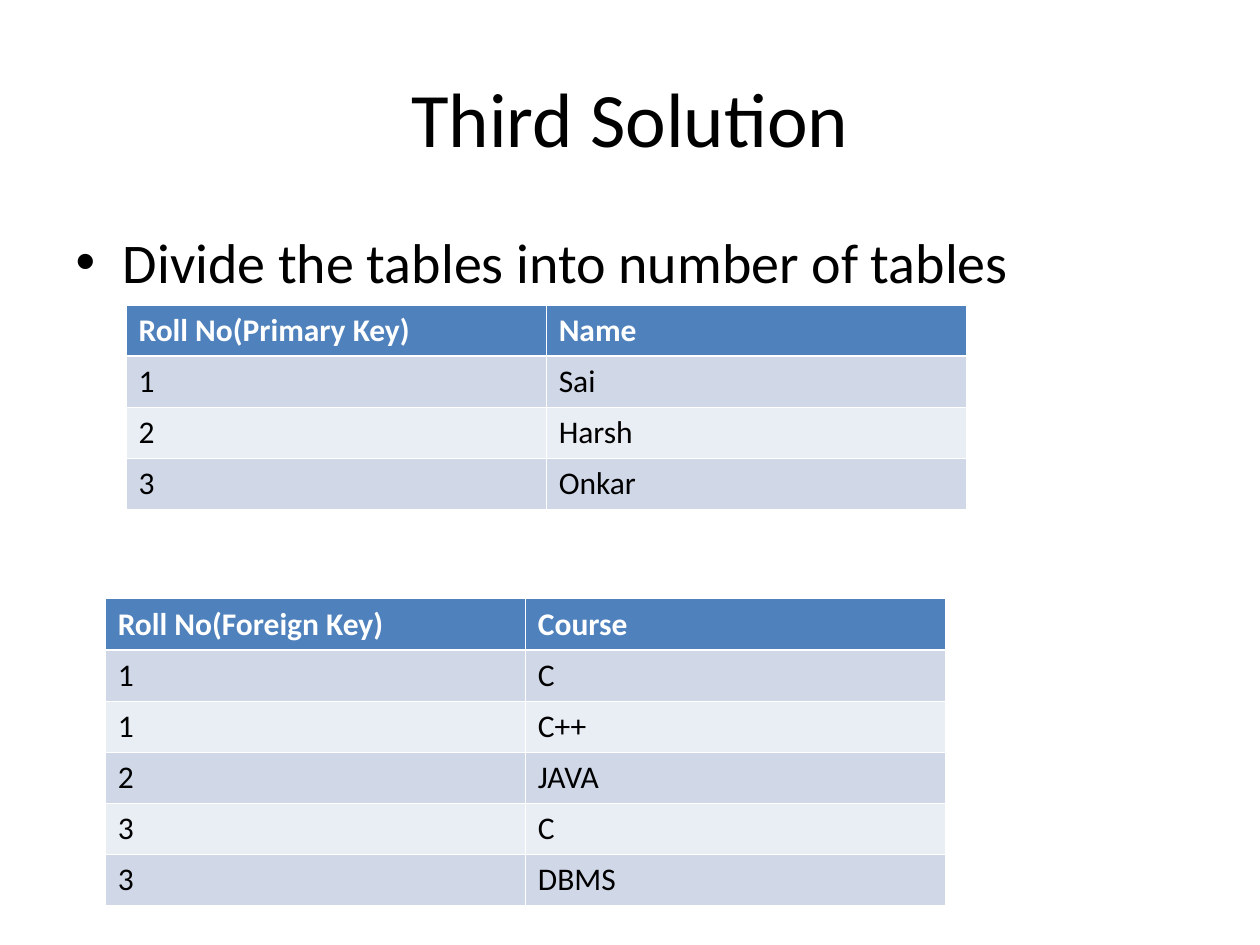
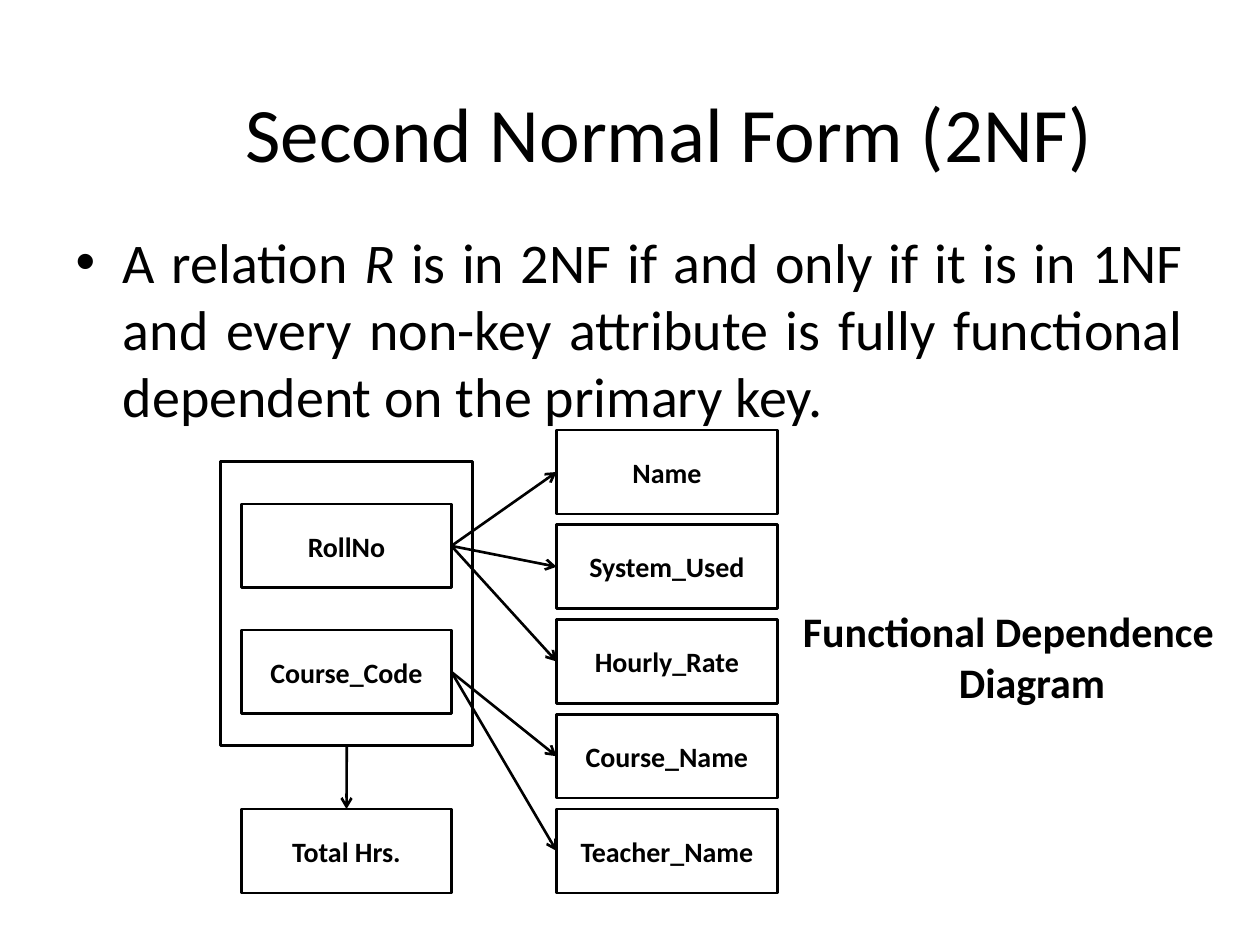
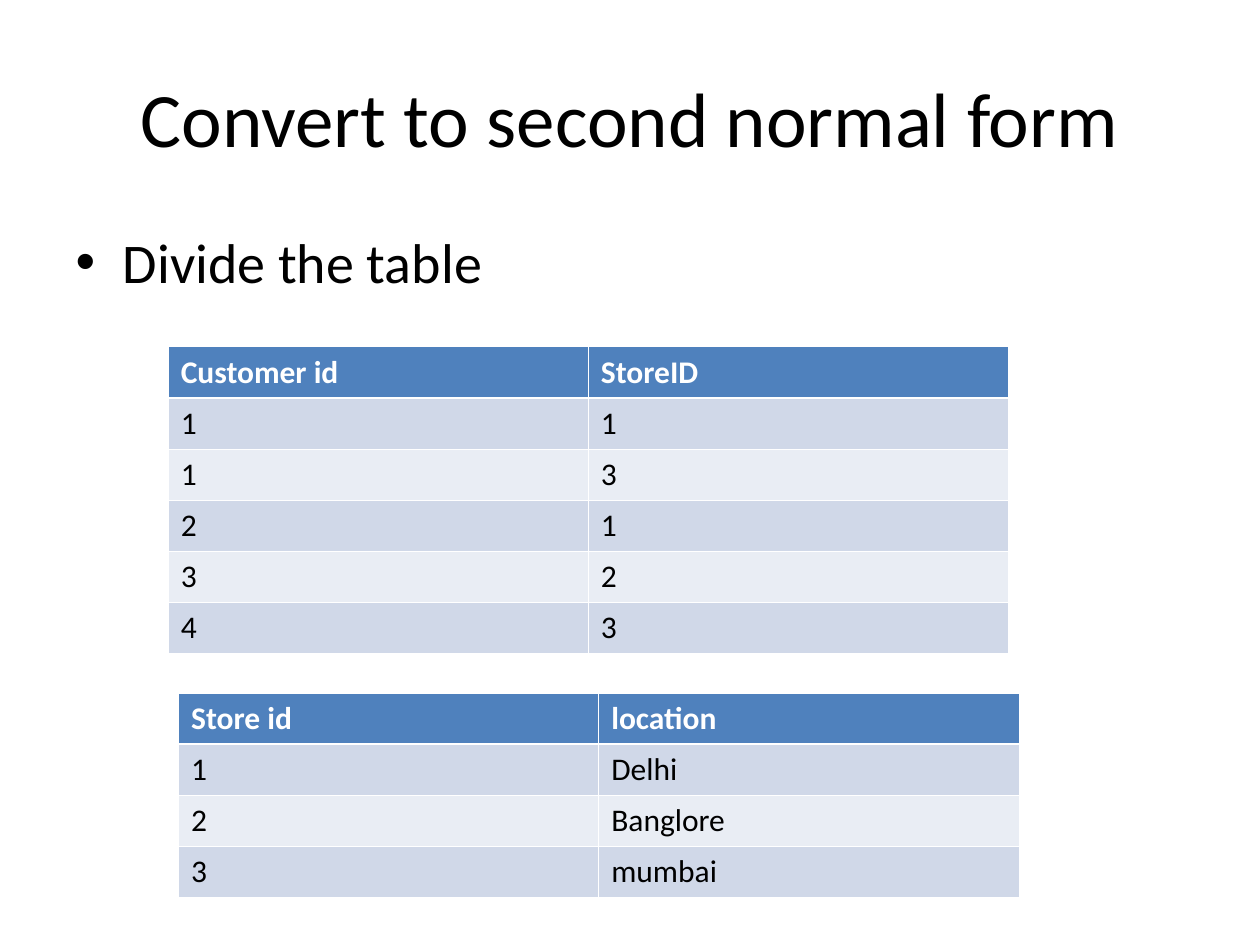
from dataclasses import dataclass

from lxml import etree
from pptx import Presentation
from pptx.dml.color import RGBColor
from pptx.enum.shapes import MSO_CONNECTOR, MSO_SHAPE
from pptx.enum.text import MSO_ANCHOR, MSO_AUTO_SIZE, PP_ALIGN
from pptx.oxml.ns import qn
from pptx.util import Cm, Pt

RECTANGLE = MSO_SHAPE.RECTANGLE
STRAIGHT = MSO_CONNECTOR.STRAIGHT
MIDDLE = MSO_ANCHOR.MIDDLE
NO_AUTO_SIZE = MSO_AUTO_SIZE.NONE
LEFT, CENTER, JUSTIFY = PP_ALIGN.LEFT, PP_ALIGN.CENTER, PP_ALIGN.JUSTIFY
TOP_SIDE, LEFT_SIDE, BOTTOM_SIDE, RIGHT_SIDE = range(4)

BLACK = RGBColor(0x00, 0x00, 0x00)
WHITE = RGBColor(0xFF, 0xFF, 0xFF)
HEADER_BLUE = RGBColor(0x4F, 0x81, 0xBD)
BAND_DARK = RGBColor(0xD0, 0xD8, 0xE8)
BAND_LIGHT = RGBColor(0xE9, 0xED, 0xF4)

FONT = "Calibri"
TITLE_FORMAT = {"name": FONT, "size": Pt(44)}
BODY_FORMAT = {"name": FONT, "size": Pt(32)}
HEADER_FORMAT = {"name": FONT, "size": Pt(18), "bold": True}
CELL_FORMAT = {"name": FONT, "size": Pt(18), "bold": False}
LABEL_FORMAT = {"name": FONT, "size": Pt(16), "bold": True}
CAPTION_FORMAT = {"name": FONT, "size": Pt(24), "bold": True}

LINE_WIDTH = Pt(1.5)
THIN_BORDER, THICK_BORDER = Pt(0.45), Pt(1.47)
COLUMN_WIDTH, ROW_HEIGHT = Cm(8.47), Cm(1.03)
HANGING_INDENT = Cm(0.95)


@dataclass(frozen=True)
class Box:
    left: float
    top: float
    width: float
    height: float

    def lengths(self) -> tuple:
        return Cm(self.left), Cm(self.top), Cm(self.width), Cm(self.height)


@dataclass(frozen=True)
class TableSpec:
    left: float
    top: float
    rows: tuple


TITLE_BOX = Box(1.27, 0.76, 22.86, 3.18)
SHIFTED_TITLE_BOX = Box(2.06, 1.07, 22.86, 3.18)
BODY_BOX = Box(1.27, 4.45, 22.86, 12.57)
DEFINITION_BOX = Box(1.27, 4.45, 22.86, 4.45)
CAPTION_BOX = Box(15.67, 11.61, 9.32, 3.23)
KEY_FRAME = Box(4.45, 9.31, 5.08, 5.72)

KEY_LEFT, KEY_WIDTH = 4.87, 4.23
ATTRIBUTE_LEFT, ATTRIBUTE_WIDTH = 11.22, 4.45
ATTRIBUTE_TOP, ATTRIBUTE_PITCH = 8.67, 1.91
BOX_HEIGHT = 1.69
KEY_TOPS = {"RollNo": 10.16, "Course_Code": 12.7, "Total Hrs.": 16.31}
DEPENDENCIES = {
    "RollNo": ("Name", "System_Used", "Hourly_Rate"),
    "Course_Code": ("Course_Name", "Teacher_Name"),
}

SOLUTION_TABLES = (
    TableSpec(2.54, 6.15, (
        ("Roll No(Primary Key)", "Name"),
        ("1", "Sai"), ("2", "Harsh"), ("3", "Onkar"))),
    TableSpec(2.12, 12.07, (
        ("Roll No(Foreign Key)", "Course"),
        ("1", "C"), ("1", "C++"), ("2", "JAVA"), ("3", "C"), ("3", "DBMS"))),
)
STORE_TABLES = (
    TableSpec(3.39, 6.99, (
        ("Customer id", "StoreID"),
        ("1", "1"), ("1", "3"), ("2", "1"), ("3", "2"), ("4", "3"))),
    TableSpec(3.6, 13.97, (
        ("Store id", "location"),
        ("1", "Delhi"), ("2", "Banglore"), ("3", "mumbai"))),
)
DEFINITION = (
    ("A relation ", False),
    ("R", True),
    (" is in 2NF if and only if it is in 1NF and every non-key attribute "
     "is fully functional dependent on the primary key.", False),
)


def add_run(paragraph, text: str, font_format: dict, color: RGBColor = BLACK):
    run = paragraph.add_run()
    run.text = text
    for name, value in font_format.items():
        setattr(run.font, name, value)
    run.font.color.rgb = color


def place(shape, box: Box):
    for name, value in zip(("left", "top", "width", "height"), box.lengths()):
        setattr(shape, name, value)


def add_text_slide(presentation, title: str, body_runs: tuple,
                   title_box: Box = TITLE_BOX, body_box: Box = BODY_BOX,
                   body_alignment=LEFT):
    slide = presentation.slides.add_slide(presentation.slide_layouts[1])
    title_shape, body_shape = slide.shapes.title, slide.placeholders[1]
    for shape, box, alignment in ((title_shape, title_box, CENTER),
                                  (body_shape, body_box, body_alignment)):
        place(shape, box)
        shape.text_frame.auto_size = NO_AUTO_SIZE
        paragraph = shape.text_frame.paragraphs[0]
        paragraph.alignment = alignment
        paragraph.space_before = Pt(0)
    add_run(title_shape.text_frame.paragraphs[0], title, TITLE_FORMAT)
    for text, italic in body_runs:
        add_run(body_shape.text_frame.paragraphs[0], text,
                {**BODY_FORMAT, "italic": italic})
    return slide


def set_borders(cell, top: int, bottom: int):
    properties = cell._tc.get_or_add_tcPr()
    widths = {"lnL": THIN_BORDER, "lnR": THIN_BORDER, "lnT": top, "lnB": bottom}
    for tag, width in widths.items():
        line = etree.SubElement(properties, qn(f"a:{tag}"), w=str(int(width)))
        fill = etree.SubElement(line, qn("a:solidFill"))
        etree.SubElement(fill, qn("a:srgbClr"), val=str(WHITE))


def add_banded_table(slide, spec: TableSpec):
    row_count, column_count = len(spec.rows), len(spec.rows[0])
    table = slide.shapes.add_table(
        row_count, column_count, Cm(spec.left), Cm(spec.top),
        COLUMN_WIDTH * column_count, ROW_HEIGHT * row_count).table
    for row_index, values in enumerate(spec.rows):
        is_header = row_index == 0
        band = BAND_DARK if row_index % 2 else BAND_LIGHT
        for column_index, value in enumerate(values):
            cell = table.cell(row_index, column_index)
            set_borders(cell,
                        top=THICK_BORDER if row_index == 1 else THIN_BORDER,
                        bottom=THICK_BORDER if is_header else THIN_BORDER)
            cell.fill.solid()
            cell.fill.fore_color.rgb = HEADER_BLUE if is_header else band
            add_run(cell.text_frame.paragraphs[0], value,
                    HEADER_FORMAT if is_header else CELL_FORMAT,
                    WHITE if is_header else BLACK)


def add_outline(slide, box: Box, label: str = ""):
    shape = slide.shapes.add_shape(RECTANGLE, *box.lengths())
    shape.shadow.inherit = False
    shape.fill.background()
    shape.line.color.rgb = BLACK
    shape.line.width = LINE_WIDTH
    if label:
        shape.text_frame.vertical_anchor = MIDDLE
        paragraph = shape.text_frame.paragraphs[0]
        paragraph.alignment = CENTER
        add_run(paragraph, label, LABEL_FORMAT)
    return shape


def add_arrow(slide, start, start_side: int, end, end_side: int):
    connector = slide.shapes.add_connector(STRAIGHT, 0, 0, 0, 0)
    connector.begin_connect(start, start_side)
    connector.end_connect(end, end_side)
    connector.line.color.rgb = BLACK
    connector.line.width = LINE_WIDTH
    properties = connector._element.spPr
    etree.SubElement(properties.find(qn("a:ln")), qn("a:tailEnd"), type="arrow")
    etree.SubElement(properties, qn("a:effectLst"))


def add_caption(slide, text: str):
    text_frame = slide.shapes.add_textbox(*CAPTION_BOX.lengths()).text_frame
    text_frame.word_wrap = True
    text_frame.vertical_anchor = MIDDLE
    paragraph = text_frame.paragraphs[0]
    paragraph.alignment = CENTER
    properties = paragraph._p.get_or_add_pPr()
    properties.set("marL", str(int(HANGING_INDENT)))
    properties.set("indent", str(-int(HANGING_INDENT)))
    add_run(paragraph, text, CAPTION_FORMAT)


def add_dependence_diagram(slide):
    frame = add_outline(slide, KEY_FRAME)
    keys = {
        label: add_outline(slide, Box(KEY_LEFT, top, KEY_WIDTH, BOX_HEIGHT), label)
        for label, top in KEY_TOPS.items()
    }
    attribute_top = ATTRIBUTE_TOP
    for key, attributes in DEPENDENCIES.items():
        for label in attributes:
            box = Box(ATTRIBUTE_LEFT, attribute_top, ATTRIBUTE_WIDTH, BOX_HEIGHT)
            attribute = add_outline(slide, box, label)
            add_arrow(slide, keys[key], RIGHT_SIDE, attribute, LEFT_SIDE)
            attribute_top += ATTRIBUTE_PITCH
    add_arrow(slide, frame, BOTTOM_SIDE, keys["Total Hrs."], TOP_SIDE)
    add_caption(slide, "Functional Dependence Diagram")


def add_table_slide(presentation, title: str, body: str, tables: tuple):
    slide = add_text_slide(presentation, title, ((body, False),))
    for spec in tables:
        add_banded_table(slide, spec)


def main():
    presentation = Presentation()
    presentation.slide_width, presentation.slide_height = Cm(25.4), Cm(19.05)
    add_table_slide(presentation, "Third Solution",
                    "Divide the tables into number of tables", SOLUTION_TABLES)
    diagram_slide = add_text_slide(
        presentation, "Second Normal Form (2NF)", DEFINITION,
        SHIFTED_TITLE_BOX, DEFINITION_BOX, JUSTIFY)
    add_dependence_diagram(diagram_slide)
    add_table_slide(presentation, "Convert to second normal form",
                    "Divide the table", STORE_TABLES)
    presentation.save("out.pptx")


if __name__ == "__main__":
    main()
